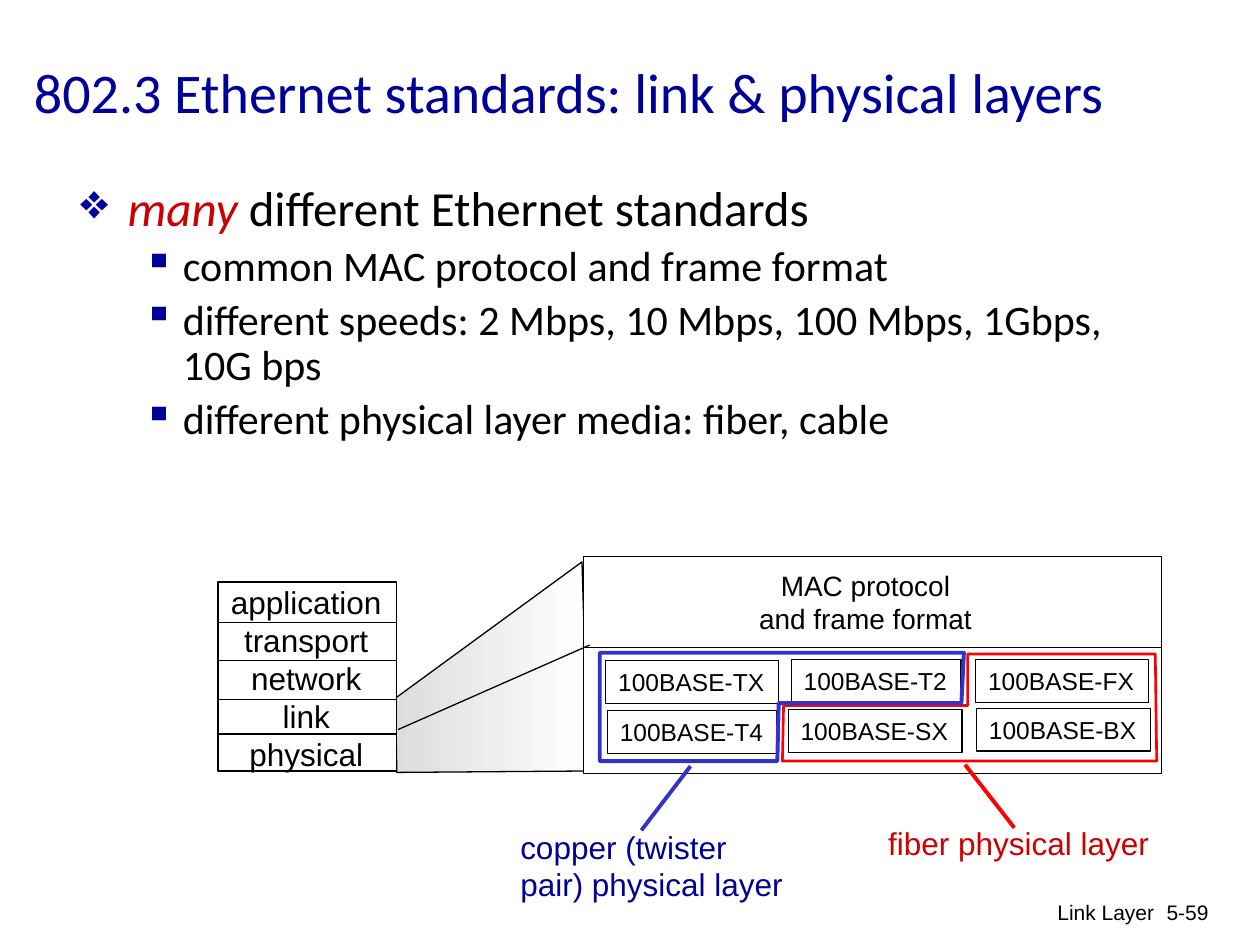
import pptx
import pptx.util
import pptx.dml.color
import pptx.enum.shapes
import pptx.enum.text
import pptx.oxml
import pptx.oxml.ns

Pt = pptx.util.Pt
RGB = pptx.dml.color.RGBColor
Align = pptx.enum.text.PP_ALIGN
Anchor = pptx.enum.text.MSO_ANCHOR

BLACK = RGB(0, 0, 0)
WHITE = RGB(255, 255, 255)
GREY = RGB(0xDD, 0xDD, 0xDD)
NAVY = RGB(0, 0, 0x99)
BLUE = RGB(0x33, 0x33, 0xCC)
RED = RGB(255, 0, 0)
CRIMSON = RGB(0xCC, 0, 0)

LAYERS = ["application", "transport", "network", "link", "physical"]
POINTS = [
    "common MAC protocol and frame format",
    "different speeds: 2 Mbps, 10 Mbps, 100 Mbps, 1Gbps, 10G bps",
    "different physical layer media: fiber, cable",
]
CHIPS = [
    ("100BASE-TX", 346.2, 377.4, 98.8),
    ("100BASE-T4", 347.1, 406, 97),
    ("100BASE-FX", 557.5, 377, 98.8),
    ("100BASE-T2", 452.2, 377, 97),
    ("100BASE-SX", 450.4, 405.5, 99.4),
    ("100BASE-BX", 558, 404.8, 99.4),
]
CHIP_H = 24.5


def style(para, size, color, face="Arial", align=Align.LEFT):
    para.alignment = align
    font = para.font
    font.size, font.name, font.color.rgb = Pt(size), face, color


def write(frame, lines, size, color=BLACK, align=Align.LEFT, wrap=False):
    """Put one styled paragraph per line into the frame."""
    frame.word_wrap = wrap
    frame.vertical_anchor = Anchor.TOP
    frame.text = "\n".join(lines)
    for para in frame.paragraphs:
        style(para, size, color, align=align)


def label(slide, box, lines, size, **look):
    area = slide.shapes.add_textbox(*map(Pt, box))
    write(area.text_frame, lines, size, **look)


def rect(slide, box, filled=True):
    kind = pptx.enum.shapes.MSO_SHAPE.RECTANGLE
    shape = slide.shapes.add_shape(kind, *map(Pt, box))
    shape.shadow.inherit = False
    if filled:
        shape.fill.solid()
        shape.fill.fore_color.rgb = WHITE
    else:
        shape.fill.background()
    shape.line.color.rgb, shape.line.width = BLACK, Pt(0.75)
    return shape


def line(slide, start, end, color=BLACK, width=0.75):
    kind = pptx.enum.shapes.MSO_CONNECTOR.STRAIGHT
    link = slide.shapes.add_connector(kind, *map(Pt, start + end))
    link.line.color.rgb, link.line.width = color, Pt(width)
    pptx.oxml.ns.qn("a:effectLst")
    props = link._element.spPr
    props.append(pptx.oxml.parse_xml(
        f'<a:effectLst {pptx.oxml.ns.nsdecls("a")}/>'))


def outline(slide, points, color, width):
    """Draw a closed, unfilled polygon."""
    spots = [(Pt(x), Pt(y)) for x, y in points]
    maker = slide.shapes.build_freeform(*spots[0])
    maker.add_line_segments(spots[1:], close=True)
    shape = maker.convert_to_shape()
    shape.shadow.inherit = False
    shape.fill.background()
    shape.line.color.rgb, shape.line.width = color, Pt(width)
    return shape


def bullet(para, mark, left, hang):
    props = para._p.get_or_add_pPr()
    props.set("marL", str(Pt(left)))
    props.set("indent", str(Pt(-hang)))
    names = pptx.oxml.ns.nsdecls("a")
    tail = props.find(pptx.oxml.ns.qn("a:defRPr"))
    for xml in (f'<a:buClr {names}><a:srgbClr val="{NAVY}"/></a:buClr>',
                f'<a:buChar {names} char="{mark}"/>'):
        node = pptx.oxml.parse_xml(xml)
        if tail is None:
            props.append(node)
        else:
            tail.addprevious(node)


def title(slide):
    head = slide.shapes.title
    head.left, head.top, head.width, head.height = map(
        Pt, (12.2, 7.2, 686.2, 90))
    head.text_frame.text = "802.3 Ethernet standards: link & physical layers"
    head.text_frame.vertical_anchor = Anchor.MIDDLE
    style(head.text_frame.paragraphs[0], 32, NAVY, "Calibri")


def body(slide):
    area = slide.shapes.add_textbox(*map(Pt, (38.9, 101.5, 612, 165.6)))
    frame = area.text_frame
    frame.word_wrap = True
    lead = frame.paragraphs[0]
    lead.line_spacing = 0.9
    style(lead, 28, BLACK, "Calibri")
    bullet(lead, "❖", 27, 27)
    many = lead.add_run()
    many.text = "many "
    many.font.italic, many.font.color.rgb = True, CRIMSON
    lead.add_run().text = "different Ethernet standards"
    for text in POINTS:
        para = frame.add_paragraph()
        para.text, para.level = text, 1
        para.line_spacing, para.space_before = 0.9, Pt(4.8)
        style(para, 24, BLACK, "Calibri")
        bullet(para, "▪", 58.5, 22.5)


def stack(slide):
    beam = outline(slide, [(332.6, 321.1), (226.1, 398.9), (226.8, 441.4),
                           (336.2, 440.6)], BLACK, 0.75)
    beam.fill.gradient()
    beam.fill.gradient_angle = 0
    for stop, color, place in zip(beam.fill.gradient_stops,
                                  (GREY, WHITE), (0, 1)):
        stop.color.rgb, stop.position = color, place
    left, right = 124.6, 226.6
    rect(slide, (left, 332.6, right - left, 108))
    label(slide, (left, 329.8, 100.8, 115.2), LAYERS, 18, align=Align.CENTER)
    for y in (355.7, 377.3, 399.6, 419.4):
        line(slide, (left, y), (right, y))


def detail(slide):
    rect(slide, (333.4, 318.2, 330.5, 123.8))
    line(slide, (334, 370.1), (663.2, 370.1))
    label(slide, (426.2, 321.1, 136.8, 46.1),
          ["MAC protocol", "and frame format"], 16, align=Align.CENTER)
    line(slide, (227.5, 416.9), (337, 368.6))
    for text, x, y, width in CHIPS:
        chip = rect(slide, (x, y, width, CHIP_H), filled=False)
        write(chip.text_frame, [text], 14)


def media(slide):
    outline(slide, [(553, 373.7), (553, 403.2), (447.8, 403.2),
                    (447.1, 434.9), (661, 434.9), (660.2, 373.7)], RED, 1.5)
    line(slide, (551.5, 437), (579.6, 473), RED, 2.25)
    label(slide, (500.4, 467.3, 164.9, 28.8), ["fiber physical layer"], 18,
          color=CRIMSON)
    outline(slide, [(550.8, 373), (549.4, 401.8), (445, 401.8),
                    (444.2, 434.9), (342.7, 434.9), (342.7, 373)], BLUE, 2.25)
    line(slide, (394.6, 437.8), (366.5, 474.5), BLUE, 2.25)
    label(slide, (290.2, 469.4, 166.3, 51.1),
          ["copper (twister", "pair) physical layer"], 18, color=NAVY)


def footer(slide):
    for text, x, width in (("Link Layer", 438.5, 228.2), ("5-59", 644.4, 53.3)):
        label(slide, (x, 510.5, width, 36), [text], 12,
              align=Align.RIGHT, wrap=True)


def main():
    deck = pptx.Presentation()
    deck.slide_width, deck.slide_height = Pt(720), Pt(540)
    slide = deck.slides.add_slide(deck.slide_layouts[5])
    for part in (footer, title, body, stack, detail, media):
        part(slide)
    deck.save("out.pptx")


if __name__ == "__main__":
    main()
